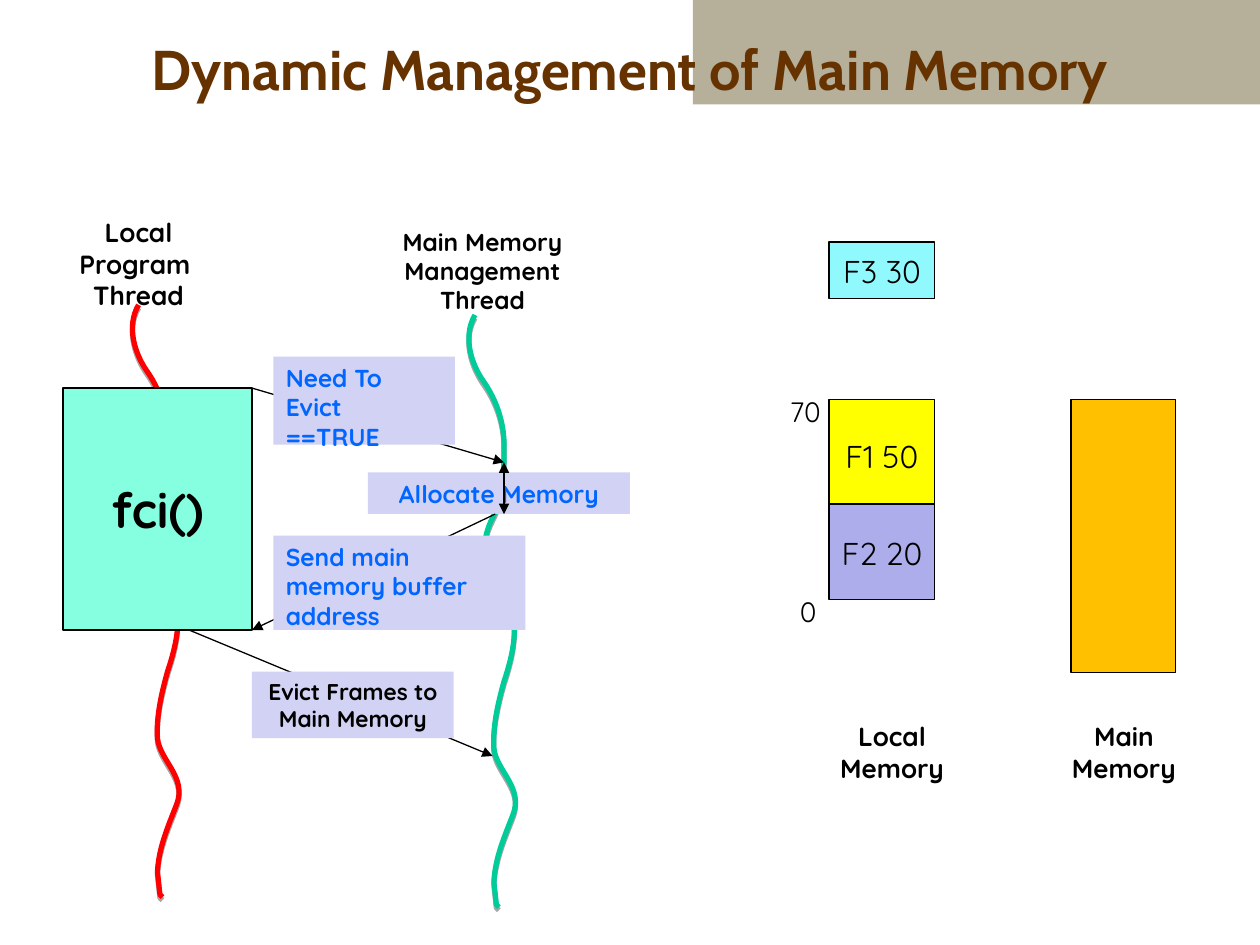
from lxml.etree import SubElement
from pptx import Presentation
from pptx.dml.color import RGBColor
from pptx.enum.shapes import MSO_CONNECTOR, MSO_SHAPE
from pptx.enum.text import MSO_ANCHOR, PP_ALIGN
from pptx.oxml.ns import qn
from pptx.util import Inches, Pt

COLORS = {
    "black": "000000", "title": "663300", "band": "B6AF9A", "blue": "0066FF",
    "note": "D2D2F4", "function": "85FFE0",
    "program": "FF0000", "manager": "00CC99", "main": "FFC000",
    "F1": "FFFF00", "F2": "ADADEB", "F3": "90F9FE",
}
BODY_FONT = "Quicksand"

# Thread outline relative to its top left corner: start, cubic curves, tail
THREAD_START = (0.1, 0)
THREAD_CURVES = [
    ((0, 0.17), (0.07, 0.39), (0.17, 0.53)),
    ((0.28, 0.69), (0.34, 0.88), (0.33, 1.08)),
    ((0.33, 1.26), (0.33, 1.43), (0.24, 1.61)),
    ((0.16, 1.76), (0.13, 2.01), (0.27, 2.14)),
    ((0.5, 2.34), (0.4, 2.7), (0.33, 2.91)),
    ((0.28, 3.09), (0.24, 3.27), (0.25, 3.44)),
    ((0.27, 3.62), (0.49, 3.75), (0.4, 3.97)),
    ((0.33, 4.15), (0.26, 4.31), (0.25, 4.5)),
]
THREAD_TAIL = [(0.27, 4.68), (0.29, 4.7)]


def color(name):
    return RGBColor.from_string(COLORS[name])


def write(shape, text, size, ink="black", bold=True, align=PP_ALIGN.CENTER,
          anchor=MSO_ANCHOR.TOP, wrap=True, font=BODY_FONT):
    frame = shape.text_frame
    frame.text = text
    frame.word_wrap = wrap
    frame.vertical_anchor = anchor
    for paragraph in frame.paragraphs:
        paragraph.alignment = align
        for run in paragraph.runs:
            run.font.name = font
            run.font.size = Pt(size)
            run.font.bold = bold
            run.font.color.rgb = color(ink)


def add_label(slide, box, text, size, **style):
    shape = slide.shapes.add_textbox(*map(Inches, box))
    write(shape, text, size, **style)


def add_block(slide, box, fill, outlined=False):
    shape = slide.shapes.add_shape(MSO_SHAPE.RECTANGLE, *map(Inches, box))
    shape.shadow.inherit = False
    shape.fill.solid()
    shape.fill.fore_color.rgb = color(fill)
    if outlined:
        shape.line.color.rgb = color("black")
        shape.line.width = Pt(0.75)
    else:
        shape.line.fill.background()
    return shape


def add_arrow(slide, start, end, both_ends=False):
    connector = slide.shapes.add_connector(
        MSO_CONNECTOR.STRAIGHT, *map(Inches, (*start, *end)))
    connector.line.color.rgb = color("black")
    connector.line.width = Pt(0.75)
    line = connector.line._get_or_add_ln()
    for tag in ("a:headEnd", "a:tailEnd") if both_ends else ("a:tailEnd",):
        SubElement(line, qn(tag), type="triangle")
    SubElement(connector._element.spPr, qn("a:effectLst"))


def curve_segments(shape, count):
    """Join each three leading straight segments into one cubic curve."""
    outline = next(shape._element.iter(qn("a:path")))
    segments = outline.findall(qn("a:lnTo"))
    for index in range(0, 3 * count, 3):
        curve = SubElement(outline, qn("a:cubicBezTo"))
        segments[index].addprevious(curve)
        for segment in segments[index:index + 3]:
            curve.append(segment[0])
            outline.remove(segment)


def add_thread(slide, left, top, ink):
    points = [THREAD_START, *sum(THREAD_CURVES, ()), *THREAD_TAIL]
    points = [(Inches(left + x), Inches(top + y)) for x, y in points]
    builder = slide.shapes.build_freeform(*points[0])
    builder.add_line_segments(points[1:], close=False)
    shape = builder.convert_to_shape()
    curve_segments(shape, len(THREAD_CURVES))
    shape.fill.background()
    shape.line.color.rgb = color(ink)
    shape.line.width = Pt(3)
    # Thin grey shadow straight below
    shape.shadow.inherit = False
    effects = shape._element.spPr.find(qn("a:effectLst"))
    shadow = SubElement(effects, qn("a:outerShdw"), blurRad="0",
                        dist=str(Pt(1.8)), dir="5400000", rotWithShape="0")
    shade = SubElement(shadow, qn("a:srgbClr"), val=COLORS["black"])
    SubElement(shade, qn("a:alpha"), val="35000")


def add_header(slide, left, top):
    add_block(slide, (left + 5.5, top, 4.5, 0.83), "band")
    add_label(slide, (left + 0.67, top - 0.17, 8.66, 1.42),
              "Dynamic Management of Main Memory", 32, ink="title",
              anchor=MSO_ANCHOR.MIDDLE, font="Cabin")


def add_thread_diagram(slide, left, top):
    def note(box, text, size=14, **style):
        x, y, width, height = box
        shape = add_block(slide, (left + x, top + y, width, height), "note")
        write(shape, text, size, **style)

    def arrow(start, end, **style):
        add_arrow(slide, (left + start[0], top + start[1]),
                  (left + end[0], top + end[1]), **style)

    # Threads and their names
    add_thread(slide, left + 3.32, top + 0.83, "manager")
    add_thread(slide, left + 0.65, top + 0.75, "program")
    add_label(slide, (left + 2.48, top + 0.08, 2, 0.83),
              "Main Memory\nManagement Thread", 14)
    add_label(slide, (left, top, 1.5, 0.54), "Local Program  Thread", 15)

    # Messages, each note lying over its arrow
    message = {"ink": "blue", "align": PP_ALIGN.LEFT}
    arrow((1.65, 1.41), (3.65, 2))
    note((1.82, 1.16, 1.44, 0.7), "Need To Evict ==TRUE", **message)
    note((2.57, 2.08, 2.08, 0.33), "Allocate Memory", ink="blue")
    arrow((3.58, 2.41), (1.65, 3.33))
    note((1.82, 2.58, 2, 0.75), "Send main memory buffer  address", **message)
    arrow((1.15, 3.33), (3.56, 4.33))
    note((1.65, 3.66, 1.6, 0.53), "Evict Frames to\nMain Memory", 13)
    arrow((3.65, 2), (3.65, 2.41), both_ends=True)

    # Function call
    call = add_block(slide, (left + 0.15, top + 1.41, 1.5, 1.92),
                     "function", outlined=True)
    write(call, "fci()", 28, anchor=MSO_ANCHOR.MIDDLE, wrap=False)


def add_memory_map(slide, left, top):
    # Main memory
    add_block(slide, (left + 2.33, top + 1.25, 0.83, 2.17), "main",
              outlined=True)

    # Function frames: name, size, top, height
    frames = [("F1", 50, 1.25, 0.89), ("F2", 20, 2.08, 0.76),
              ("F3", 30, 0, 0.45)]
    for name, size, y, height in frames:
        frame = add_block(slide, (left + 0.41, top + y, 0.84, height), name,
                          outlined=True)
        write(frame, f"{name} {size}", 18, bold=False,
              anchor=MSO_ANCHOR.MIDDLE, wrap=False)
        frame.text_frame.margin_top = Inches(0.06)

    # Captions and address scale
    for x, caption in ((0.16, "Local Memory"), (2, "Main Memory")):
        add_label(slide, (left + x, top + 3.75, 1.5, 0.54), caption, 15)
    for x, y, address in ((0, 1.16, "70"), (0.08, 2.75, "0")):
        add_label(slide, (left + x, top + y, 1, 0.37), address, 16,
                  bold=False, align=PP_ALIGN.LEFT)


def main():
    presentation = Presentation()
    presentation.slide_width = Inches(10)
    presentation.slide_height = Inches(7.5)
    slide = presentation.slides.add_slide(presentation.slide_layouts[6])
    add_header(slide, 0, 0)
    add_thread_diagram(slide, 0.35, 1.67)
    add_memory_map(slide, 6.17, 1.92)
    presentation.save("out.pptx")


if __name__ == "__main__":
    main()
